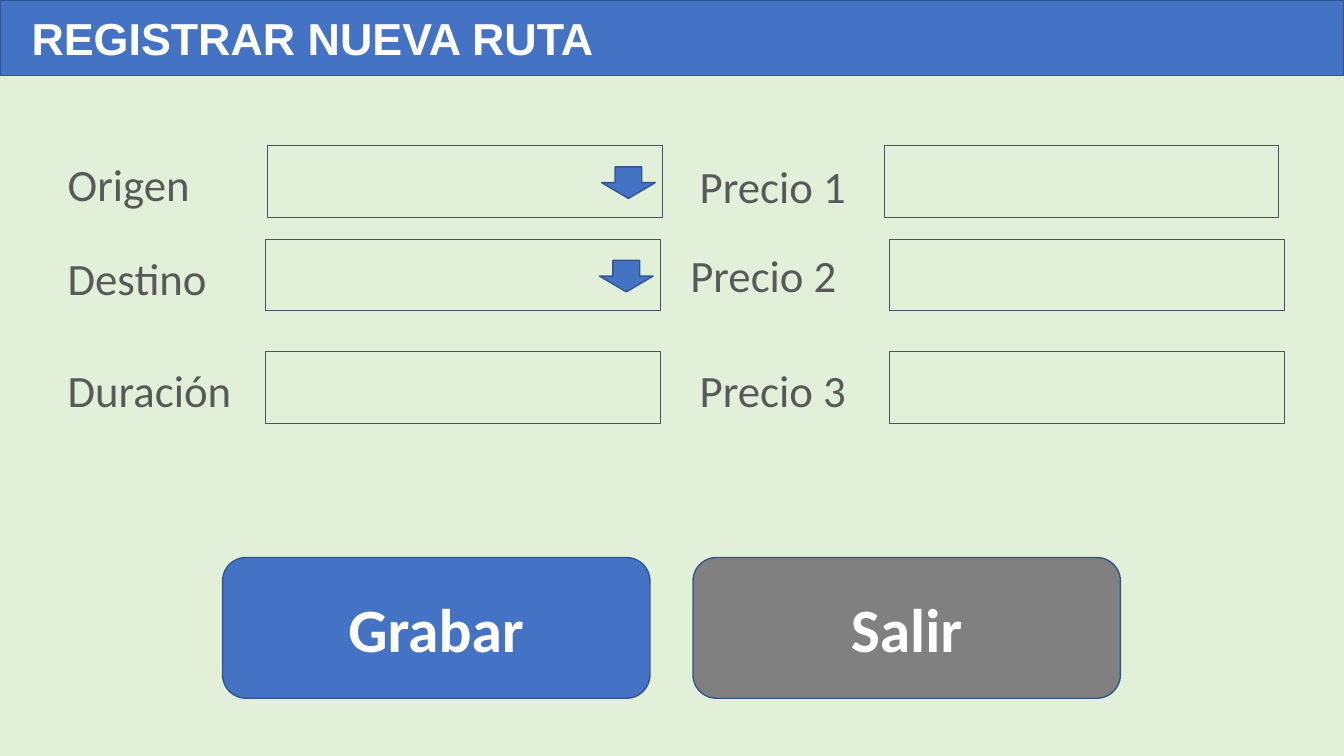
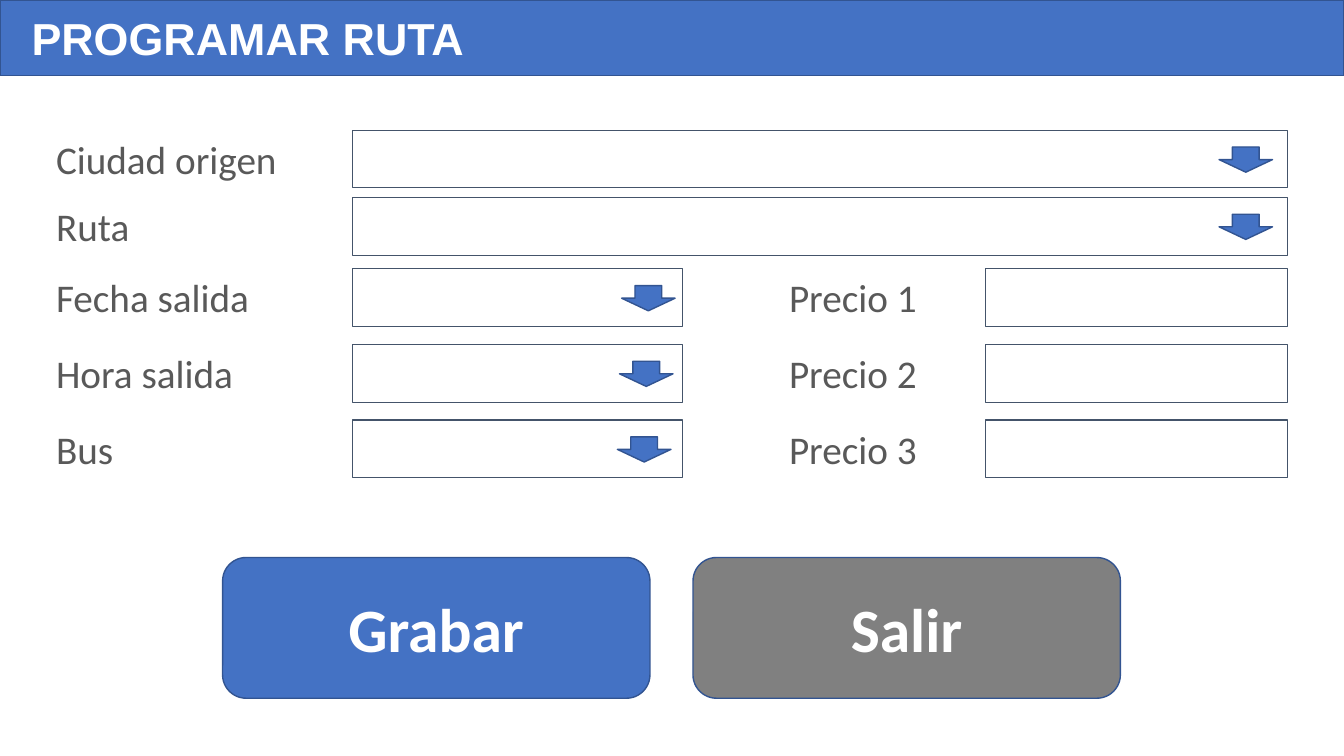
from pptx import Presentation
from pptx import util as u
from pptx.dml.color import RGBColor
from pptx.enum import shapes, text

PX = 9525
WIDTH, HEIGHT = 1280, 720
BLUE, BLUE_EDGE, GRAY = "4472C4", "325491", "808080"
FIELD_EDGE, LABEL, WHITE, GREEN = "44546A", "595959", "FFFFFF", "E2F0D9"
SHAPE = shapes.MSO_SHAPE


def rgb(color):
    return RGBColor.from_string(color)


def emu(box):
    return [n * PX for n in box]


def add_box(s, kind, box, fill=None, edge=BLUE_EDGE, weight=1):
    sp = s.shapes.add_shape(kind, *emu(box))
    sp.shadow.inherit = False
    if fill:
        sp.fill.solid()
        sp.fill.fore_color.rgb = rgb(fill)
    else:
        sp.fill.background()
    sp.line.color.rgb = rgb(edge)
    sp.line.width = u.Pt(weight)
    return sp


def write(sp, words, size, color=WHITE, font="Calibri", bold=False,
          align=text.PP_ALIGN.LEFT):
    tf = sp.text_frame
    tf.word_wrap = True
    tf.text = words
    p = tf.paragraphs[0]
    p.alignment = align
    f = p.runs[0].font
    f.name, f.size, f.bold = font, u.Pt(size), bold
    f.color.rgb = rgb(color)


def title_band(s, box, title):
    sp = add_box(s, SHAPE.RECTANGLE, box, BLUE)
    sp.text_frame.margin_left = 30 * PX
    write(sp, title, 32, font="Arial", bold=True)


def buttons(s, box):
    """Two equal buttons that fill the box, with a gap between them."""
    x, y, w, h = box
    gap = 41
    button_w = (w - gap) // 2
    for i, (name, fill) in enumerate((("Grabar", BLUE), ("Salir", GRAY))):
        sp = add_box(s, SHAPE.ROUNDED_RECTANGLE,
                     (x + i * (button_w + gap), y, button_w, h), fill)
        write(sp, name, 44, bold=True, align=text.PP_ALIGN.CENTER)


def field(s, box, label, label_box, size, arrow_inset=None):
    """Label and entry box; arrow_inset is the drop-down arrow's distance from the right."""
    write(s.shapes.add_textbox(*emu(label_box)), label, size, LABEL)
    add_box(s, SHAPE.RECTANGLE, box, edge=FIELD_EDGE, weight=0.75)
    if arrow_inset:
        x, y, w, h = box
        arrow_h = h * 9 // 20
        add_box(s, SHAPE.DOWN_ARROW,
                (x + w - arrow_inset, y + (h - arrow_h) // 2 + 1, 51, arrow_h), BLUE)


def form_slide(prs, title, background):
    s = prs.slides.add_slide(prs.slide_layouts[6])
    s.background.fill.solid()
    s.background.fill.fore_color.rgb = rgb(background)
    title_band(s, (0, 0, WIDTH, 72), title)
    buttons(s, (212, 531, 855, 134))
    return s


def new_route(prs):
    s = form_slide(prs, "REGISTRAR NUEVA RUTA", GREEN)
    for label, label_x, label_y, x, y, inset in (
            ("Origen", 55, 145, 255, 139, 58),
            ("Destino", 55, 234, 253, 228, 58),
            ("Duración", 55, 341, 253, 335, None),
            ("Precio 1", 657, 146, 842, 139, None),
            ("Precio 2", 648, 231, 847, 228, None),
            ("Precio 3", 657, 341, 847, 335, None)):
        field(s, (x, y, 376, 68), label, (label_x, label_y, 184, 61), 32, inset)


def schedule_route(prs):
    s = form_slide(prs, "PROGRAMAR RUTA", WHITE)
    rows = (124, 188, 256, 328, 400)
    left = (("Ciudad origen", 890, 65), ("Ruta", 890, 65),
            ("Fecha salida", 314, 58), ("Hora salida", 314, 60), ("Bus", 314, 62))
    for y, (label, w, inset) in zip(rows, left):
        field(s, (336, y, w, 55), label, (44, y, 283, 55), 28, inset)
    for i, y in enumerate(rows[2:], 1):
        field(s, (939, y, 287, 55), f"Precio {i}", (742, y, 190, 55), 28)


def main():
    prs = Presentation()
    prs.slide_width, prs.slide_height = emu((WIDTH, HEIGHT))
    new_route(prs)
    schedule_route(prs)
    prs.save("out.pptx")


if __name__ == "__main__":
    main()
